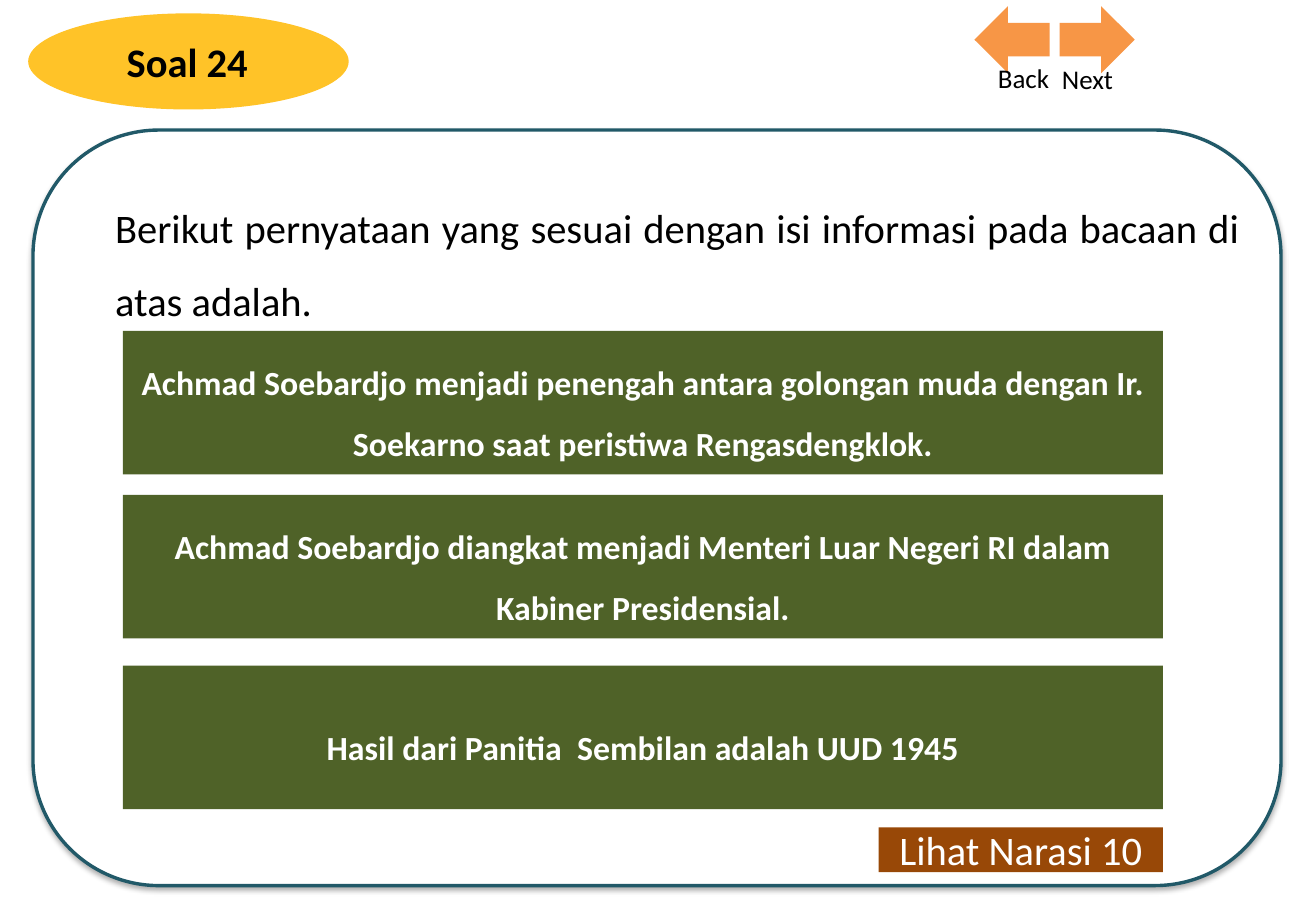
import pptx
import pptx.util
import pptx.dml.color
import pptx.enum.shapes
import pptx.enum.text
import pptx.oxml

Cm = pptx.util.Cm
Pt = pptx.util.Pt
KIND = pptx.enum.shapes.MSO_SHAPE
ALIGN = pptx.enum.text.PP_ALIGN
ANCHOR = pptx.enum.text.MSO_ANCHOR

TITLE = "Soal 24"
QUESTION = "Berikut pernyataan yang sesuai dengan isi informasi pada bacaan di atas adalah."
OPTIONS = [
    (6.92, "Achmad Soebardjo menjadi penengah antara golongan muda dengan Ir. "
           "Soekarno saat peristiwa Rengasdengklok."),
    (10.35, "Achmad Soebardjo diangkat menjadi Menteri Luar Negeri RI dalam "
            "Kabiner Presidensial."),
    (13.92, "Hasil dari Panitia  Sembilan adalah UUD 1945"),
]
NARRATION = "Lihat Narasi 10"
NAVIGATION = [
    ("Back", 20.37, 180, (18.62, 1.17), ALIGN.RIGHT),
    ("Next", 22.15, 0, (21.95, 1.19), ALIGN.LEFT),
]

OPTION_LEFT, OPTION_WIDTH, OPTION_HEIGHT = 2.57, 21.74, 3
NARRATION_WIDTH = 5.94
NARRATION_LEFT = OPTION_LEFT + OPTION_WIDTH - NARRATION_WIDTH

PANEL_SHADOW = (
    '<a:effectLst xmlns:a="http://schemas.openxmlformats.org/drawingml/2006/main">'
    '<a:outerShdw blurRad="44450" dist="27940" dir="5400000" rotWithShape="0">'
    '<a:srgbClr val="000000"><a:alpha val="32000"/></a:srgbClr>'
    '</a:outerShdw></a:effectLst>'
)

deck = pptx.Presentation()
deck.slide_width, deck.slide_height = Cm(27.51), Cm(19.05)
slide = deck.slides.add_slide(deck.slide_layouts[6])


def colour(value):
    return pptx.dml.color.RGBColor.from_string(value)


def add_block(kind, box, fill, line=None):
    block = slide.shapes.add_shape(kind, *map(Cm, box))
    block.shadow.inherit = False
    block.fill.solid()
    block.fill.fore_color.rgb = colour(fill)
    if line:
        block.line.color.rgb = colour(line)
        block.line.width = Pt(2)
    else:
        block.line.fill.background()
    return block


def write(text, holder, size=24, color="000000", bold=False, align=ALIGN.CENTER,
          spacing=None, anchor=ANCHOR.TOP):
    frame = holder.text_frame
    frame.word_wrap = True
    frame.vertical_anchor = anchor
    paragraph = frame.paragraphs[0]
    paragraph.alignment = align
    if spacing:
        paragraph.line_spacing = spacing
    run = paragraph.add_run()
    run.text = text
    run.font.name = "Calibri"
    run.font.size = Pt(size)
    run.font.bold = bold
    run.font.color.rgb = colour(color)


def add_label(box):
    return slide.shapes.add_textbox(*map(Cm, box))


add_block(KIND.OVAL, (0.59, 0.28, 6.7, 2.01), "FFC328")
write(TITLE, add_label((0.46, 0.66, 6.91, 1.27)), bold=True)

panel = add_block(KIND.ROUNDED_RECTANGLE, (0.69, 2.72, 26.09, 15.8), "FFFFFF", "215968")
panel.shadow.inherit = True
panel._element.spPr.append(pptx.oxml.parse_xml(PANEL_SHADOW))
write(QUESTION, add_label((2.16, 3.61, 24, 4.88)), align=ALIGN.JUSTIFY, spacing=1.5)

narration = add_block(KIND.RECTANGLE, (NARRATION_LEFT, 17.3, NARRATION_WIDTH, 0.94), "984807")
write(NARRATION, narration, color="FFFFFF", anchor=ANCHOR.MIDDLE)

for top, statement in OPTIONS:
    option = add_block(KIND.RECTANGLE, (OPTION_LEFT, top, OPTION_WIDTH, OPTION_HEIGHT), "4F6228")
    write(statement, option, size=20, color="FFFFFF", bold=True, spacing=1.5,
          anchor=ANCHOR.MIDDLE)

for caption, left, turn, corner, align in NAVIGATION:
    arrow = add_block(KIND.RIGHT_ARROW, (left, 0.13, 1.57, 1.4), "F79646")
    arrow.rotation = turn
    write(caption, add_label((*corner, 3.56, 0.94)), size=16, align=align)

deck.save("out.pptx")
